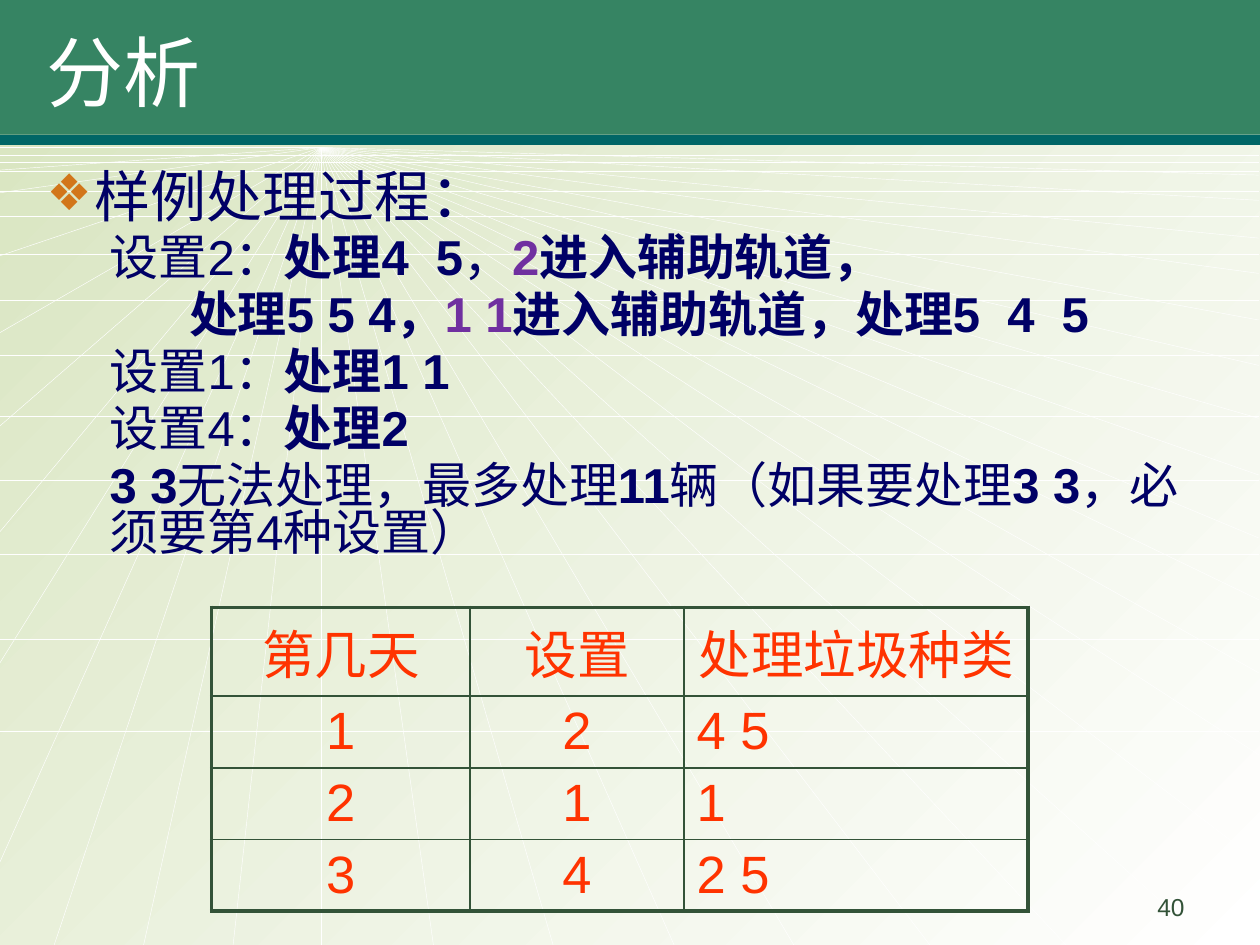
from lxml import etree
from pptx import Presentation
from pptx.dml.color import RGBColor
from pptx.enum.shapes import MSO_CONNECTOR, MSO_SHAPE
from pptx.enum.text import MSO_ANCHOR, MSO_AUTO_SIZE, PP_ALIGN
from pptx.oxml.ns import qn
from pptx.util import Inches, Pt

WHITE = RGBColor(0xFF, 0xFF, 0xFF)
PALE_GREEN = RGBColor(0xD7, 0xE4, 0xBE)
GREEN = RGBColor(0x36, 0x84, 0x63)
TEAL = RGBColor(0x00, 0x66, 0x66)
NAVY = RGBColor(0x00, 0x00, 0x66)
PURPLE = RGBColor(0x70, 0x30, 0xA0)
ORANGE = RGBColor(0xD2, 0x76, 0x1A)
RED = RGBColor(0xFF, 0x33, 0x00)
DARK_GREEN = RGBColor(0x33, 0x53, 0x38)

LATIN, CHINESE = "Arial", "Noto Sans CJK SC"

# Run styles: font, bold, colour
PLAIN = (LATIN, False, NAVY)
COMMA = (CHINESE, False, NAVY)
DIGITS = (LATIN, True, NAVY)
STRONG = (CHINESE, True, NAVY)
AUXILIARY = (LATIN, True, PURPLE)

STEP_INDENT = 0.5
STEPS = [
    (STEP_INDENT, [("设置2：", PLAIN), ("处理", STRONG), ("4  5", DIGITS), ("，", COMMA),
                   ("2", AUXILIARY), ("进入辅助轨道，", STRONG)]),
    (1.04 + 0.09, [("处理", STRONG), ("5 5 4", DIGITS), ("，", STRONG), ("1 1", AUXILIARY),
                   ("进入辅助轨道，处理", STRONG), ("5  4  5", DIGITS)]),
    (STEP_INDENT, [("设置1：", PLAIN), ("处理", STRONG), ("1 1", DIGITS)]),
    (STEP_INDENT, [("设置4：", PLAIN), ("处理", STRONG), ("2", DIGITS)]),
    (STEP_INDENT, [("3 3", DIGITS), ("无法处理，最多处理", PLAIN), ("11", DIGITS),
                   ("辆（如果要处理", PLAIN), ("3 3", DIGITS),
                   ("，必须要第4种设置）", PLAIN)]),
]
SCHEDULE = [("第几天", "设置", "处理垃圾种类"),
            ("1", "2", "4 5"), ("2", "1", "1"), ("3", "4", "2 5")]

HUB = (2.55, 1.17)
RIGHT_RAYS = [1.39, 1.59, 1.89, 2.17, 2.54, 2.9, 3.32, 3.77, 4.27, 4.76, 5.34, 5.99, 6.84]
BOTTOM_RAYS = [0.43, 1.14, 1.85, 2.55, 3.44, 4.39, 5.35, 6.3, 7.38, 8.46, 9.6]
LEFT_RAYS = [1.17, 1.35, 1.53, 2.03, 2.64, 3.38, 4.22, 5.26, 6.84]
LEVELS = [1.23, 1.29, 1.36, 1.52, 1.72, 2.02, 2.38, 2.82, 3.3, 3.81, 4.4, 5.07, 5.8]


def add_tag(parent, tag, **attributes):
    """Append a DrawingML element and return it."""
    return etree.SubElement(parent, qn(tag), attributes)


class SlideBuilder:
    """Holds the current slide and draws its elements in one style."""

    def __init__(self, page):
        self.page = page
        self.shapes = page.shapes

    def background(self, start, end):
        """Fill the page with a diagonal gradient."""
        fill = self.page.background.fill
        fill.gradient()
        fill.gradient_angle = 315
        for stop, color in zip(fill.gradient_stops, (start, end)):
            stop.color.rgb = color

    def line(self, start, end):
        """Draw a white hairline between two points."""
        points = [Inches(value) for value in (*start, *end)]
        line = self.shapes.add_connector(MSO_CONNECTOR.STRAIGHT, *points)
        line.line.color.rgb = WHITE
        line.line.width = Pt(0.25)
        add_tag(line._element.spPr, "a:effectLst")

    def band(self, top, height, color):
        """Draw a plain band across the page."""
        band = self.shapes.add_shape(MSO_SHAPE.RECTANGLE, 0, Inches(top), Inches(10), Inches(height))
        band.shadow.inherit = False
        band.fill.solid()
        band.fill.fore_color.rgb = color
        band.line.fill.background()

    def place(self, box, left, top, width, height):
        """Move a placeholder to its position, in front of the backdrop."""
        box.left, box.top = Inches(left), Inches(top)
        box.width, box.height = Inches(width), Inches(height)
        self.shapes._spTree.append(box._element)
        box.text_frame.word_wrap = True
        box.text_frame.auto_size = MSO_AUTO_SIZE.NONE
        return box.text_frame

    def font(self, font, size, color, name=LATIN):
        """Set size, colour and typeface."""
        font.size, font.name, font.color.rgb = Pt(size), name, color

    def title(self, text):
        """Fill the title placeholder."""
        frame = self.place(self.shapes.title, 0.27, 0.13, 8.35, 0.87)
        frame.text = text
        frame.vertical_anchor = MSO_ANCHOR.MIDDLE
        para = frame.paragraphs[0]
        para.alignment = PP_ALIGN.LEFT
        self.font(para.font, 44, WHITE)

    def paragraph(self, para, size, margin, hanging=0.0):
        """Set spacing and indents of a body paragraph."""
        para.line_spacing = 0.8
        para.space_before = Pt(size * 0.2)
        properties = para._p.get_or_add_pPr()
        properties.set("marL", str(Inches(margin)))
        properties.set("indent", str(Inches(-hanging)))
        return properties

    def body(self, heading, steps):
        """Fill the body placeholder with a bulleted heading and its steps."""
        frame = self.place(self.page.placeholders[1], 0.27, 1.31, 9.45, 5.83)
        para = frame.paragraphs[0]
        properties = self.paragraph(para, 32, 0.38, 0.38)
        add_tag(add_tag(properties, "a:buClr"), "a:srgbClr", val=str(ORANGE))
        add_tag(properties, "a:buSzPct", val="90000")
        add_tag(properties, "a:buChar", char="❖")
        for text, size in heading:
            span = para.add_run()
            span.text = text
            self.font(span.font, size, NAVY)
        for margin, spans in steps:
            para = frame.add_paragraph()
            para.level = 1
            add_tag(self.paragraph(para, 28, margin), "a:buNone")
            for text, (name, bold, color) in spans:
                span = para.add_run()
                span.text = text
                span.font.bold = bold
                self.font(span.font, 28, color, name)
                if name == CHINESE:
                    add_tag(span.font._element, "a:ea", typeface=name)

    def cell_borders(self, cell, widths):
        """Draw the left, right, top and bottom borders of a cell."""
        properties = cell._tc.get_or_add_tcPr()
        for index, (side, width) in enumerate(zip("LRTB", widths)):
            border = etree.Element(qn(f"a:ln{side}"), w=str(Pt(width)))
            add_tag(add_tag(border, "a:solidFill"), "a:srgbClr", val=str(DARK_GREEN))
            properties.insert(index, border)

    def table(self, rows, left, top, widths, heights):
        """Add a grid with a heavy outer frame."""
        size = [Inches(value) for value in (left, top, sum(widths), sum(heights))]
        table = self.shapes.add_table(len(rows), len(widths), *size).table
        table.first_row = table.horz_banding = False
        for column, width in zip(table.columns, widths):
            column.width = Inches(width)
        last_row, last_column = len(rows) - 1, len(widths) - 1
        for r, texts in enumerate(rows):
            table.rows[r].height = Inches(heights[r])
            for c, text in enumerate(texts):
                cell = table.cell(r, c)
                cell.text = text
                cell.fill.background()
                para = cell.text_frame.paragraphs[0]
                centred = r == 0 or c < last_column
                para.alignment = PP_ALIGN.CENTER if centred else PP_ALIGN.LEFT
                self.font(para.font, 30, RED)
                outer = (c == 0, c == last_column, r == 0, r == last_row)
                self.cell_borders(cell, [2.25 if edge else 1 for edge in outer])

    def page_number(self, text):
        """Add the page number at the lower right."""
        box = self.shapes.add_textbox(Inches(7.17), Inches(7.03), Inches(2.33), Inches(0.35))
        box.text_frame.word_wrap = True
        box.text_frame.text = text
        para = box.text_frame.paragraphs[0]
        para.alignment = PP_ALIGN.RIGHT
        self.font(para.font, 14, DARK_GREEN)


def main():
    """Build the deck and save it."""
    deck = Presentation()
    deck.slide_width, deck.slide_height = Inches(10), Inches(7.5)
    builder = SlideBuilder(deck.slides.add_slide(deck.slide_layouts[1]))
    builder.background(PALE_GREEN, WHITE)
    ends = [(9.99, y) for y in RIGHT_RAYS] + [(x, 7.5) for x in BOTTOM_RAYS]
    for end in ends + [(0, y) for y in LEFT_RAYS]:
        builder.line(HUB, end)
    for level in LEVELS:
        builder.line((0, level), (9.99, level))
    builder.band(0, 1.07, GREEN)
    builder.band(1.07, 0.08, TEAL)
    builder.title("分析")
    builder.body([("样例处理过程", 32), ("：", 34)], STEPS)
    builder.table(SCHEDULE, 1.68, 4.82, [2.05, 1.7, 2.73], [0.7, 0.57, 0.57, 0.56])
    builder.page_number("40")
    deck.save("out.pptx")


main()
